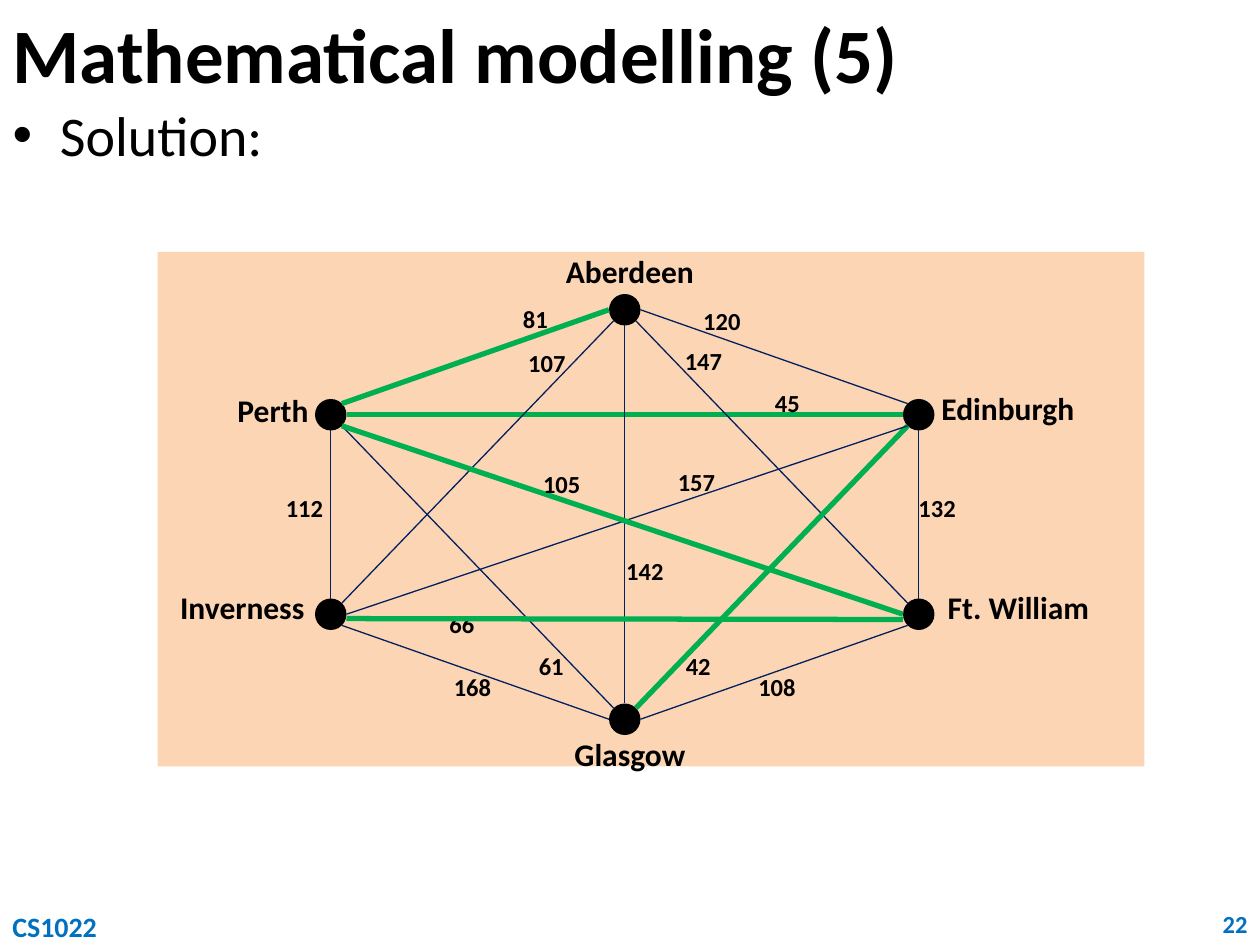
from math import cos, radians, sin

from lxml.etree import SubElement
from pptx import Presentation
from pptx.dml.color import RGBColor
from pptx.enum.shapes import MSO_CONNECTOR, MSO_SHAPE
from pptx.enum.text import MSO_ANCHOR, MSO_AUTO_SIZE, PP_ALIGN
from pptx.oxml.ns import qn
from pptx.util import Pt

THEME = {
    "font": "Calibri",
    "text": "000000", "footer": "0070C0", "panel": "FCD5B5", "city": "000000",
    "road": "002060", "route": "00B050",
    "title_size": 44, "body_size": 32, "city_size": 18, "distance_size": 14,
    "course_size": 16, "page_size": 14,
    "road_width": 0.75, "route_width": 3,
}

TITLE = "Mathematical modelling (5)"
BODY = "Solution:"
COURSE = "CS1022"
PAGE = "22"

PANEL = (90, 144, 564, 294)
CITY_DIAMETER = 18

CITIES = {
    "Aberdeen": (357, 177),
    "Edinburgh": (525, 237),
    "Ft. William": (525, 351),
    "Glasgow": (357, 411),
    "Perth": (189, 237),
    "Inverness": (189, 351),
}

CITY_LABELS = [
    ("Aberdeen", 306, 144, 108, PP_ALIGN.CENTER),
    ("Edinburgh", 522, 222.5, 108, PP_ALIGN.CENTER),
    ("Ft. William", 528, 336, 108, PP_ALIGN.CENTER),
    ("Glasgow", 306, 420, 108, PP_ALIGN.CENTER),
    ("Perth", 126, 223.5, 60, PP_ALIGN.CENTER),
    ("Inverness", 96, 336, 78, PP_ALIGN.RIGHT),
]

ROADS = [
    ("Aberdeen", "W", "Perth", "NE", "route"),
    ("Edinburgh", "W", "Perth", "E", "route"),
    ("Glasgow", "W", "Inverness", "SE", "road"),
    ("Ft. William", "SW", "Glasgow", "E", "road"),
    ("Edinburgh", "NW", "Aberdeen", "E", "road"),
    ("Ft. William", "NW", "Aberdeen", "SE", "road"),
    ("Inverness", "NE", "Aberdeen", "SW", "road"),
    ("Glasgow", "N", "Aberdeen", "S", "road"),
    ("Glasgow", "NE", "Edinburgh", "SW", "route"),
    ("Glasgow", "NW", "Perth", "SE", "road"),
    ("Inverness", "N", "Perth", "S", "road"),
    ("Ft. William", "N", "Edinburgh", "S", "road"),
    ("Edinburgh", "SW", "Inverness", "E", "road"),
    ("Ft. William", "W", "Perth", "SE", "route"),
]
LAST_LEG = ((516, 354), (198, 353.5), "route")

DISTANCES = [
    ("81", 288, 174), ("120", 394.5, 175), ("107", 294.5, 199),
    ("142", 350.5, 318), ("147", 384, 198), ("132", 517.5, 282),
    ("112", 156, 282), ("105", 303, 268), ("157", 380, 267),
    ("45", 432, 222), ("168", 252, 384), ("66", 246, 348),
    ("61", 297, 372), ("108", 426, 384), ("42", 381, 372),
]
DISTANCE_WIDTH = 36

COMPASS = ["E", "SE", "S", "SW", "W", "NW", "N", "NE"]


def color(role):
    return RGBColor.from_string(THEME[role])


def write(shape, text, size, role="text", bold=False, align=PP_ALIGN.LEFT):
    frame = shape.text_frame
    frame.word_wrap = True
    frame.auto_size = MSO_AUTO_SIZE.NONE
    frame.text = text
    paragraph = frame.paragraphs[0]
    paragraph.alignment = align
    font = paragraph.runs[0].font
    font.name, font.size, font.bold = THEME["font"], Pt(THEME[size]), bold
    font.color.rgb = color(role)
    return frame


def place(shape, left, top, width, height):
    shape.left, shape.top = Pt(left), Pt(top)
    shape.width, shape.height = Pt(width), Pt(height)


def add_filled(shapes, preset, box, role):
    shape = shapes.add_shape(preset, *map(Pt, box))
    shape.shadow.inherit = False
    shape.fill.solid()
    shape.fill.fore_color.rgb = color(role)
    shape.line.fill.background()


def add_label(shapes, text, box, size, align=PP_ALIGN.CENTER):
    label = shapes.add_textbox(*map(Pt, box))
    frame = write(label, text, size, bold=True, align=align)
    frame.margin_left = frame.margin_right = 0
    frame.margin_top = frame.margin_bottom = 0


def city_edge(city, direction):
    x, y = CITIES[city]
    angle = radians(45 * COMPASS.index(direction))
    radius = CITY_DIAMETER / 2
    return x + radius * cos(angle), y + radius * sin(angle)


def add_road(shapes, start, end, kind):
    road = shapes.add_connector(MSO_CONNECTOR.STRAIGHT, *map(Pt, start + end))
    road.line.color.rgb = color(kind)
    road.line.width = Pt(THEME[kind + "_width"])
    SubElement(road._element.spPr, qn("a:effectLst"))


def add_network(shapes):
    add_filled(shapes, MSO_SHAPE.RECTANGLE, PANEL, "panel")
    for x, y in CITIES.values():
        radius = CITY_DIAMETER / 2
        dot = (x - radius, y - radius, CITY_DIAMETER, CITY_DIAMETER)
        add_filled(shapes, MSO_SHAPE.OVAL, dot, "city")
    for origin, leaving, target, arriving, kind in ROADS:
        add_road(shapes, city_edge(origin, leaving), city_edge(target, arriving), kind)
    for city, left, top, width, align in CITY_LABELS:
        add_label(shapes, city, (left, top, width, 22), "city_size", align)
    for distance, left, top in DISTANCES:
        add_label(shapes, distance, (left, top, DISTANCE_WIDTH, 17), "distance_size")


def main():
    deck = Presentation()
    deck.slide_width, deck.slide_height = Pt(720), Pt(540)
    slide = deck.slides.add_slide(deck.slide_layouts[1])

    title, body = slide.placeholders
    place(title, 0, 0, 720, 54)
    write(title, TITLE, "title_size", bold=True).vertical_anchor = MSO_ANCHOR.TOP
    place(body, 0, 54, 720, 462)
    write(body, BODY, "body_size")

    page = slide.shapes.add_textbox(Pt(690), Pt(516), Pt(30), Pt(24))
    write(page, PAGE, "page_size", "footer", True, PP_ALIGN.RIGHT)
    course = slide.shapes.add_textbox(Pt(0), Pt(516), Pt(66), Pt(24))
    write(course, COURSE, "course_size", "footer", True)

    add_network(slide.shapes.add_group_shape().shapes)
    add_road(slide.shapes, *LAST_LEG)
    deck.save("out.pptx")


if __name__ == "__main__":
    main()
